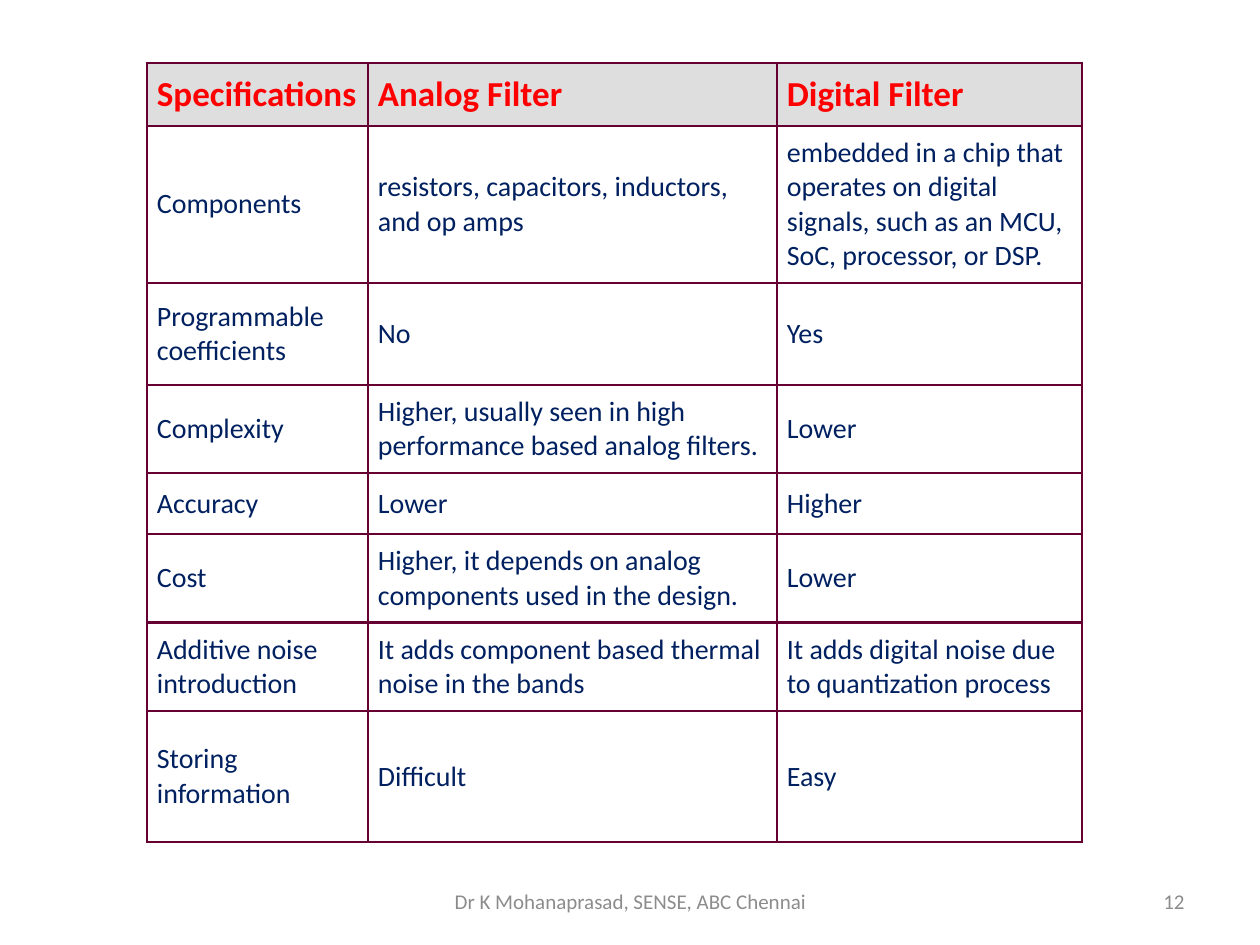
from dataclasses import dataclass

from lxml import etree
from pptx import Presentation
from pptx import util as u
from pptx.dml.color import RGBColor
from pptx.enum import text
from pptx.oxml.ns import qn

PX_PER_INCH = 126


def px(length):
    return u.Emu(round(length * 914400 / PX_PER_INCH))


@dataclass(frozen=True)
class Theme:
    font: str = "Calibri"
    heading: str = "FF0000"
    body: str = "002060"
    muted: str = "8C8C8C"
    heading_fill: str = "DEDEDE"
    body_fill: str = "FFFFFF"
    border: str = "660033"
    heading_size: int = 20
    body_size: int = 16
    footer_size: int = 12
    border_width: float = 1.5
    cell_margin: int = 10


class SlideBuilder:
    def __init__(self, slide, theme):
        self.slide = slide
        self.theme = theme

    def add_span(self, para, wording, size, color, bold=False):
        span = para.add_run()
        span.text = wording
        span.font.name = self.theme.font
        span.font.size = u.Pt(size)
        span.font.bold = bold
        span.font.color.rgb = RGBColor.from_string(color)

    def add_footer(self, wording, left, top, width, height, align):
        box = self.slide.shapes.add_textbox(*map(px, (left, top, width, height)))
        frame = box.text_frame
        frame.word_wrap = True
        frame.vertical_anchor = text.MSO_ANCHOR.MIDDLE
        para = frame.paragraphs[0]
        para.alignment = align
        self.add_span(para, wording, self.theme.footer_size, self.theme.muted)

    def add_borders(self, cell):
        properties = cell._tc.get_or_add_tcPr()
        width = str(int(u.Pt(self.theme.border_width)))
        # Border lines must come before the cell fill
        for position, side in enumerate(("lnL", "lnR", "lnT", "lnB")):
            line = etree.Element(qn(f"a:{side}"), w=width)
            fill = etree.SubElement(line, qn("a:solidFill"))
            etree.SubElement(fill, qn("a:srgbClr"), val=self.theme.border)
            properties.insert(position, line)

    def fill_cell(self, cell, wording, is_heading):
        theme = self.theme
        cell.fill.solid()
        cell.fill.fore_color.rgb = RGBColor.from_string(
            theme.heading_fill if is_heading else theme.body_fill)
        cell.vertical_anchor = text.MSO_ANCHOR.MIDDLE
        for side in ("left", "right", "top", "bottom"):
            setattr(cell, f"margin_{side}", px(theme.cell_margin))
        size, color = ((theme.heading_size, theme.heading) if is_heading
                       else (theme.body_size, theme.body))
        self.add_span(cell.text_frame.paragraphs[0], wording, size, color, is_heading)
        self.add_borders(cell)

    def add_table(self, rows, left, top, widths, heights):
        frame = self.slide.shapes.add_table(
            len(rows), len(widths), px(left), px(top),
            px(sum(widths)), px(sum(heights)))
        table = frame.table
        table.first_row = table.horz_banding = False
        for column, width in zip(table.columns, widths):
            column.width = px(width)
        for row, height in zip(table.rows, heights):
            row.height = px(height)
        for row_index, wordings in enumerate(rows):
            for column_index, wording in enumerate(wordings):
                self.fill_cell(table.cell(row_index, column_index),
                               wording, row_index == 0)


COMPARISON = [
    ("Specifications", "Analog Filter", "Digital Filter"),
    ("Components", "resistors, capacitors, inductors, and op amps",
     "embedded in a chip that operates on digital signals, "
     "such as an MCU, SoC, processor, or DSP."),
    ("Programmable coefficients", "No", "Yes"),
    ("Complexity", "Higher, usually seen in high performance based analog filters.",
     "Lower"),
    ("Accuracy", "Lower", "Higher"),
    ("Cost", "Higher, it depends on analog components used in the design.", "Lower"),
    ("Additive noise introduction",
     "It adds component based thermal noise in the bands",
     "It adds digital noise due to quantization process"),
    ("Storing information", "Difficult", "Easy"),
]


def main():
    deck = Presentation()
    deck.slide_width, deck.slide_height = px(1260), px(945)
    page = SlideBuilder(deck.slides.add_slide(deck.slide_layouts[6]), Theme())

    # Filter comparison
    page.add_table(COMPARISON, 147, 63, widths=(221, 409, 305),
                   heights=(61, 155, 102, 87, 61, 87, 87, 131))

    # Footer and slide number
    page.add_footer("Dr K Mohanaprasad, SENSE, ABC Chennai",
                    431, 876, 399, 50, text.PP_ALIGN.CENTER)
    page.add_footer("12", 903, 876, 294, 50, text.PP_ALIGN.RIGHT)

    deck.save("out.pptx")


if __name__ == "__main__":
    main()
